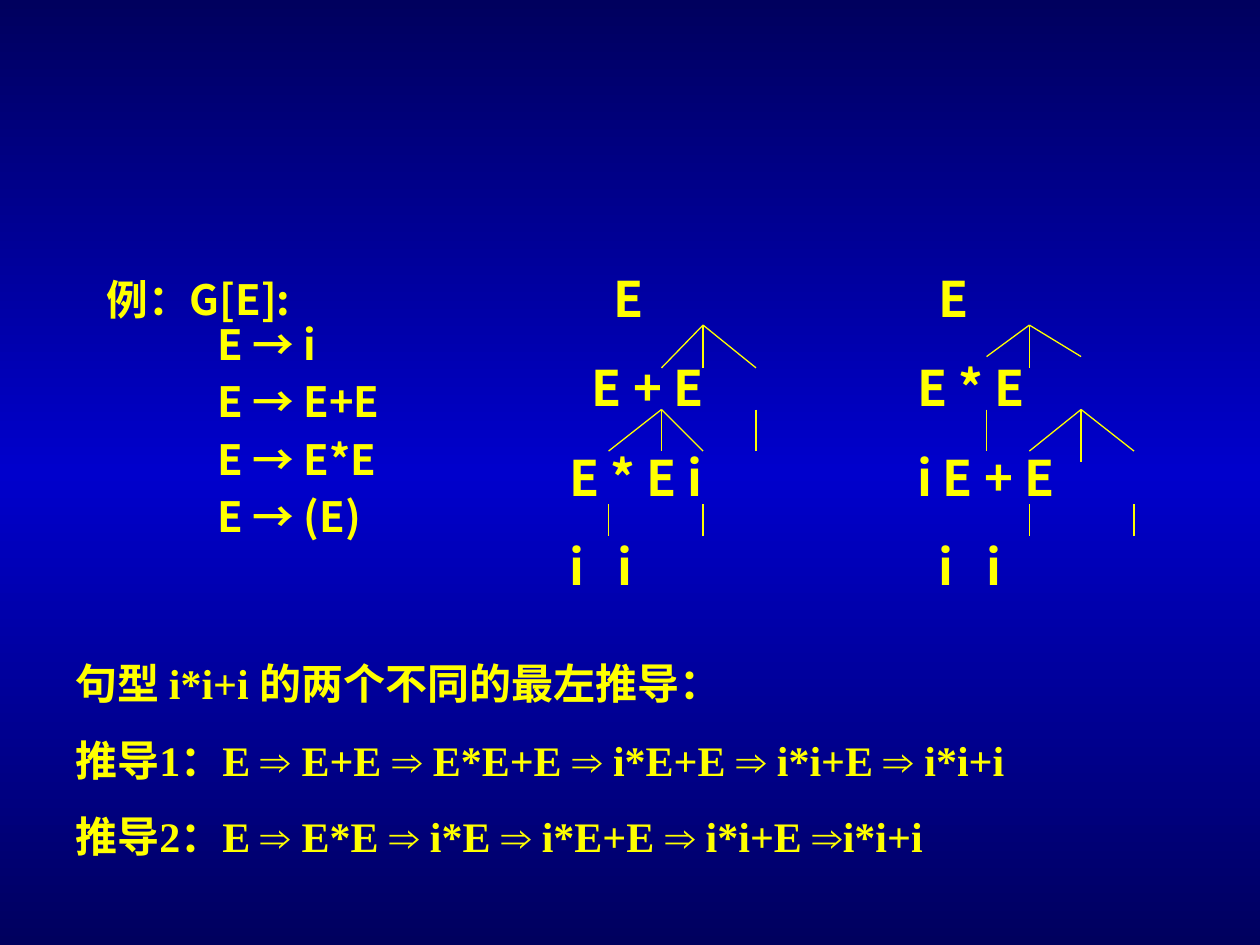
import copy
import pptx
import pptx.util
import pptx.dml.color
import pptx.enum.shapes
import pptx.enum.text
import pptx.oxml.ns
import lxml.etree

Inches = pptx.util.Inches
Pt = pptx.util.Pt
qn = pptx.oxml.ns.qn
RGB = pptx.dml.color.RGBColor.from_string

COLORS = {"edge": "00005E", "mid": "0000CC", "ink": "FFFF00"}
SANS, SERIF, SIGN = "Noto Sans CJK SC", "Times New Roman", "Arial"

deck = pptx.Presentation()
deck.slide_width, deck.slide_height = Inches(10), Inches(7.5)
slide = deck.slides.add_slide(deck.slide_layouts[6])

# Background: dark at top and bottom, brighter in the middle
fill = slide.background.fill
fill.gradient()
fill.gradient_angle = 90
for stop, place in zip(fill.gradient_stops, (0, 1)):
    stop.position = place
    stop.color.rgb = RGB(COLORS["edge"])
stops = slide.element.find(".//" + qn("a:gsLst"))
stops.insert(1, copy.deepcopy(stops[0]))
fill.gradient_stops[1].position = 0.5
fill.gradient_stops[1].color.rgb = RGB(COLORS["mid"])


def add_box(left, top, width, height):
    frame = slide.shapes.add_textbox(*map(Inches, (left, top, width, height))).text_frame
    frame.word_wrap = True
    frame.vertical_anchor = pptx.enum.text.MSO_ANCHOR.TOP
    return frame


def add_line(frame, first, parts, size, before, tabs=()):
    """Add a paragraph of (text, font) runs with left tab stops in inches."""
    para = frame.paragraphs[0] if first else frame.add_paragraph()
    para.space_before = Pt(before)
    props = para._p.get_or_add_pPr()
    if tabs:
        group = lxml.etree.SubElement(props, qn("a:tabLst"))
        for tab in tabs:
            lxml.etree.SubElement(group, qn("a:tab"), pos=str(Inches(tab)), algn="l")
    for text, face in parts:
        if text == "\n":
            para.add_line_break()
            continue
        run = para.add_run()
        run.text = text
        run.font.size, run.font.bold, run.font.name = Pt(size), True, face
        run.font.color.rgb = RGB(COLORS["ink"])
        if face != SIGN:
            lxml.etree.SubElement(run.font._element, qn("a:ea"), typeface=SANS)
    return para


# Grammar rules
rules = [
    ["例：G[E]:", "\n", "\tE → i"],
    ["\t\tE → E+E"],
    ["\t\tE → E*E"],
    ["\t\tE → (E)"],
]
frame = add_box(0.75, 2.17, 2.93, 2.98)
for row, texts in enumerate(rules):
    para = add_line(frame, row == 0, [(text, SANS) for text in texts], 23.8, 7, (0, 1))
    para.line_spacing = 0.9
    props = para._p.get_or_add_pPr()
    props.set("marL", str(Inches(0.38)))
    props.set("indent", str(Inches(-0.38)))

# Parse trees: left edge, text rows with tab stops, branches from a node to its children
trees = [
    (4.25,
     [("\tE", [0.52]), ("\tE + E", [0.35]), ("\tE * E i", [0.17]), ("\ti\ti", [0.17, 0.55])],
     [(5.58, 2.58, [(5.58, 2.92), (5.25, 2.92), (6, 2.92)]),
      (5.25, 3.25, [(5.25, 3.58), (4.83, 3.58), (5.58, 3.58)]),
      (6, 3.25, [(6, 3.58)]),
      (4.83, 4, [(4.83, 4.25)]),
      (5.58, 4, [(5.58, 4.25)])]),
    (6.83,
     [("\tE", [0.52]), ("\tE * E", [0.35]), ("\ti E + E", [0.35]), ("\ti\ti", [0.52, 0.9])],
     [(8.17, 2.58, [(8.17, 2.92), (7.83, 2.83), (8.58, 2.83)]),
      (7.83, 3.25, [(7.83, 3.58)]),
      (8.58, 3.25, [(8.58, 3.67), (8.17, 3.58), (9, 3.58)]),
      (8.17, 4, [(8.17, 4.25)]),
      (9, 4, [(9, 4.25)])]),
]
for left, rows, forks in trees:
    frame = add_box(left, 2.08, 2.5, 2.7)
    for row, (text, tabs) in enumerate(rows):
        add_line(frame, row == 0, [(text, SANS)], 28, 17.5, tabs)
    for x, y, ends in forks:
        for end in ends:
            branch = slide.shapes.add_connector(
                pptx.enum.shapes.MSO_CONNECTOR.STRAIGHT, *map(Inches, (x, y, *end)))
            branch.line.color.rgb = RGB(COLORS["ink"])
            branch.line.width = Pt(0.75)
            lxml.etree.SubElement(branch._element.spPr, qn("a:effectLst"))

# The two leftmost derivations
steps = [
    "句型 i*i+i 的两个不同的最左推导：",
    "推导1：E ⇒ E+E ⇒ E*E+E ⇒ i*E+E ⇒ i*i+E ⇒ i*i+i",
    "推导2：E ⇒ E*E ⇒ i*E ⇒ i*E+E ⇒ i*i+E ⇒i*i+i",
]
frame = add_box(0.5, 5.17, 8.58, 1.72)
for row, text in enumerate(steps):
    parts = []
    for piece in text.split("⇒"):
        parts += [("⇒", SIGN), (piece, SERIF)]
    add_line(frame, row == 0, parts[1:], 24, 15)

deck.save("out.pptx")
